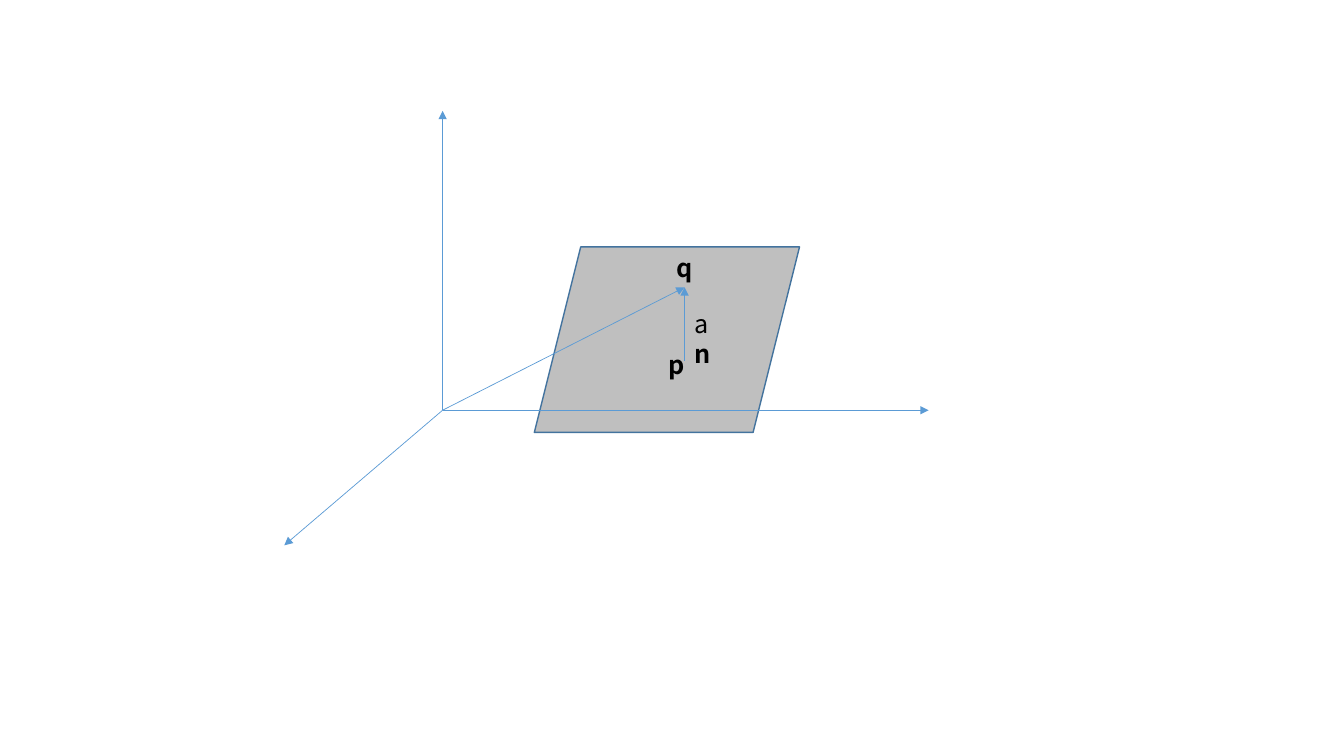
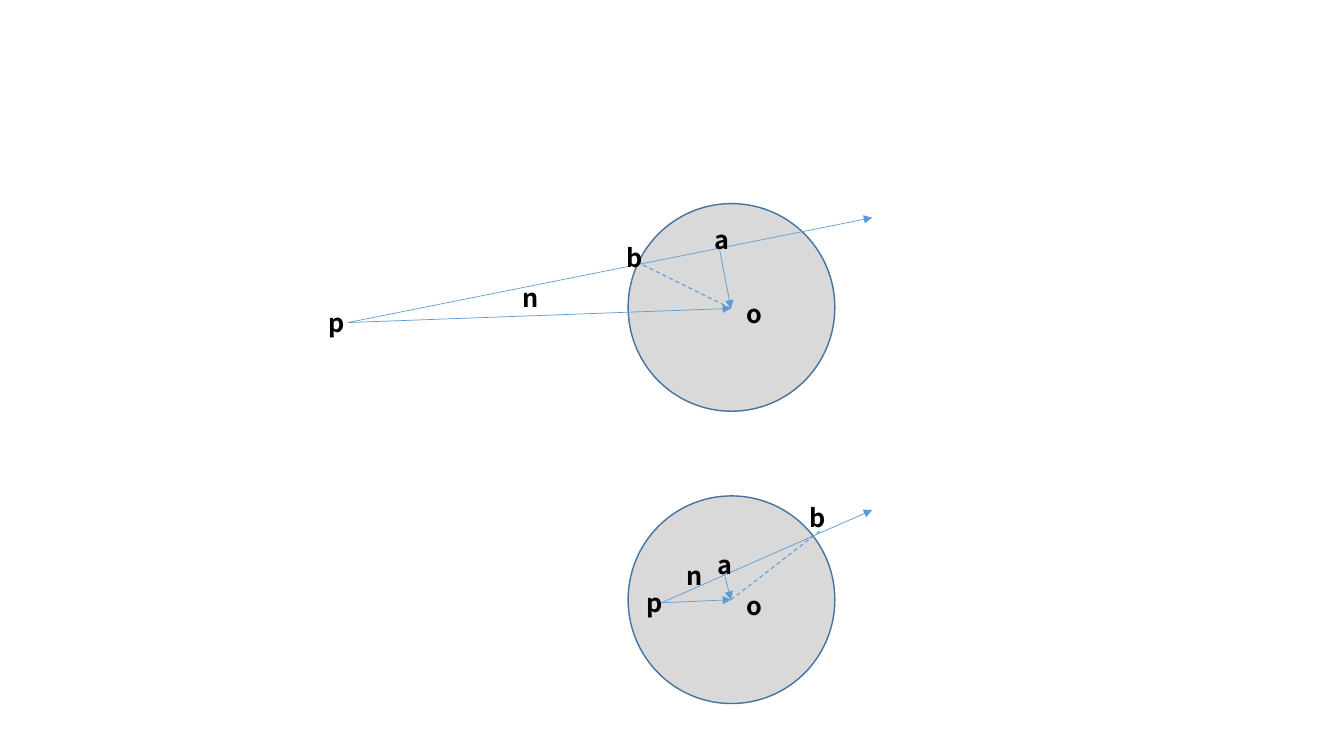
"""Build two vector diagrams: a point over a plane, and rays meeting a sphere."""
from pptx import Presentation, util as u
from pptx.dml.color import RGBColor
from pptx.enum import dml, shapes, text
from pptx.oxml.ns import qn
from lxml import etree

PX = 9144
SLIDE_SIZE = (1333, 750)
FONT = "Noto Sans CJK SC"
COLORS = {"plane": "BFBFBF", "sphere": "D9D9D9", "outline": "43739E",
          "vector": "5B9BD5", "text": "000000"}

ORIGIN, FOOT, TIP = (439, 407), (679, 358), (679, 285)
PLANE = (530, 245, 263, 184)
PLANE_VECTORS = [(FOOT, TIP), (ORIGIN, (439, 110)), (ORIGIN, (921, 407)),
                 (ORIGIN, (282, 541)), (ORIGIN, TIP)]
PLANE_LABELS = {"p": (653, 342), "q": (661, 245)}
SCALED_NORMAL = ([("a", False), ("n", True)], (679, 301))

SPHERE_LEFT, SPHERE_WIDTH, SPHERE_HEIGHT = 623, 205, 206
SPHERES = [
    {"top": 202, "p": (345, 320), "ray_end": (865, 216), "o": (725, 306),
     "a": (714, 249), "b": (634, 261),
     "labels": {"p": (316, 300), "n": (508, 275), "o": (731, 291),
                "b": (612, 236), "a": (699, 218)}},
    {"top": 492, "p": (656, 598), "ray_end": (865, 506), "o": (725, 595),
     "a": (719, 572), "b": (813, 527),
     "labels": {"p": (631, 578), "n": (671, 551), "o": (731, 581),
                "b": (793, 493), "a": (702, 540)}},
]


def px(*lengths):
    return [u.Emu(length * PX) for length in lengths]


def color(name):
    return RGBColor.from_string(COLORS[name])


def add_outline(slide, kind, box, fill):
    shape = slide.shapes.add_shape(kind, *px(*box))
    shape.shadow.inherit = False
    shape.fill.solid()
    shape.fill.fore_color.rgb = color(fill)
    shape.line.color.rgb = color("outline")
    shape.line.width = u.Pt(1)


def add_vector(slide, start, end, dashed=False):
    connector = slide.shapes.add_connector(shapes.MSO_CONNECTOR.STRAIGHT, *px(*start, *end))
    connector.line.color.rgb = color("vector")
    connector.line.width = u.Pt(0.75 if dashed else 0.5)
    if dashed:
        connector.line.dash_style = dml.MSO_LINE.DASH
    else:
        line = connector.line._get_or_add_ln()
        etree.SubElement(line, qn("a:tailEnd"), type="triangle")
    etree.SubElement(connector._element.spPr, qn("a:effectLst"))


def add_text(slide, runs, position, width=35, height=40, size=18, wrap=False):
    frame = slide.shapes.add_textbox(*px(*position, width, height)).text_frame
    frame.word_wrap = wrap
    frame.auto_size = text.MSO_AUTO_SIZE.SHAPE_TO_FIT_TEXT
    paragraph = frame.paragraphs[0]
    for content, bold in runs:
        run = paragraph.add_run()
        run.text = content
        run.font.name = FONT
        run.font.size = u.Pt(size)
        run.font.bold = bold
        run.font.color.rgb = color("text")
        properties = run.font._element
        etree.SubElement(properties, qn("a:ea"), typeface=FONT)


def add_labels(slide, labels):
    for letter, position in labels.items():
        add_text(slide, [(letter, True)], position)


def build_plane(slide):
    add_outline(slide, shapes.MSO_SHAPE.PARALLELOGRAM, PLANE, "plane")
    for start, end in PLANE_VECTORS:
        add_vector(slide, start, end)
    add_text(slide, *SCALED_NORMAL, width=48, wrap=True)
    add_labels(slide, PLANE_LABELS)


def build_spheres(slide):
    for sphere in SPHERES:
        box = (SPHERE_LEFT, sphere["top"], SPHERE_WIDTH, SPHERE_HEIGHT)
        add_outline(slide, shapes.MSO_SHAPE.OVAL, box, "sphere")
        for start, end in (("p", "ray_end"), ("p", "o"), ("o", "b"), ("a", "o")):
            add_vector(slide, sphere[start], sphere[end], dashed=end == "b")
        add_labels(slide, sphere["labels"])


def main():
    presentation = Presentation()
    presentation.slide_width, presentation.slide_height = px(*SLIDE_SIZE)
    blank = presentation.slide_layouts[6]
    for build in (build_plane, build_spheres):
        build(presentation.slides.add_slide(blank))
    presentation.save("out.pptx")


if __name__ == "__main__":
    main()
